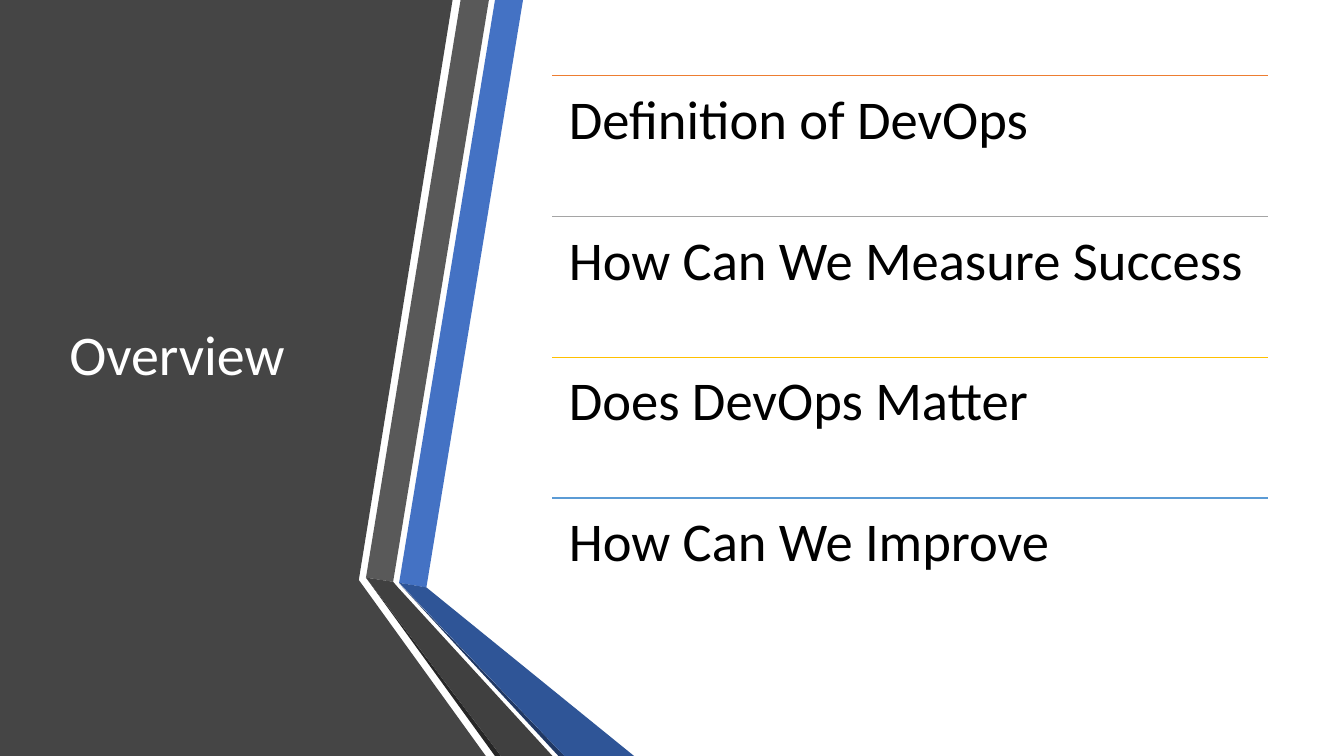
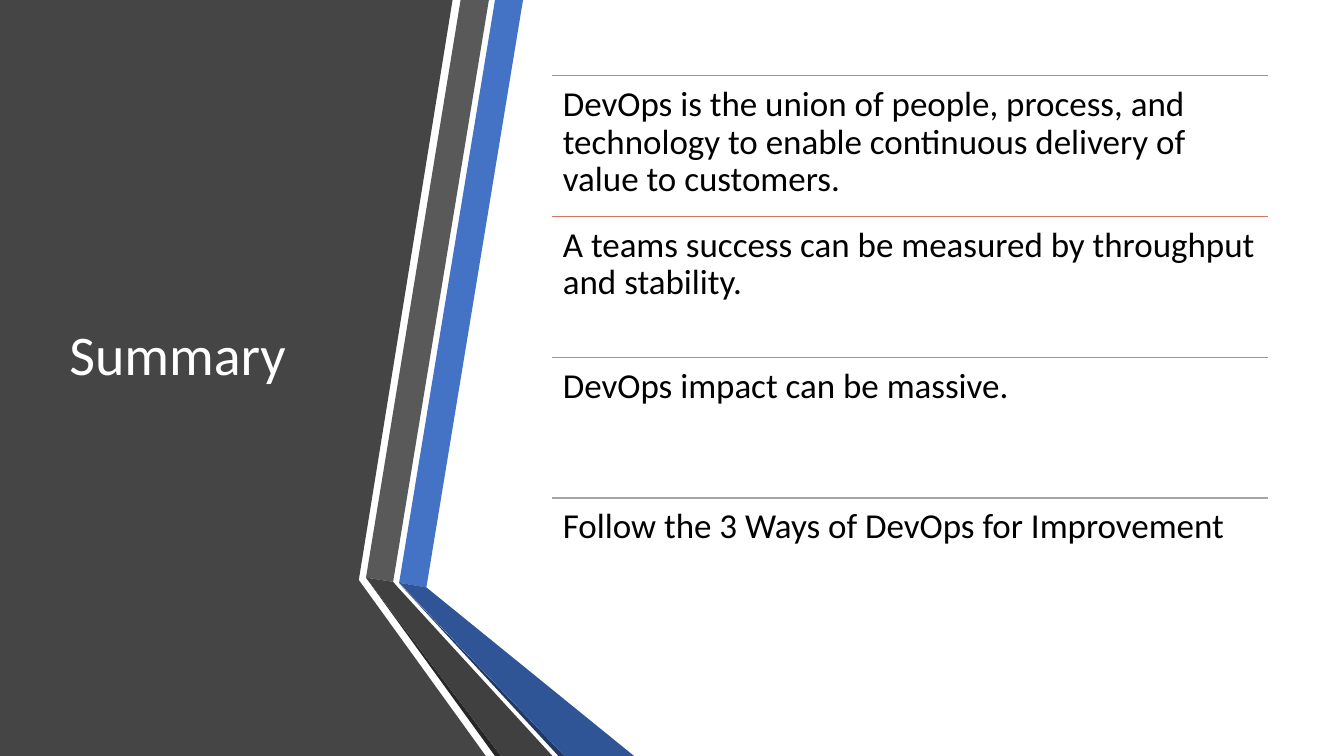
from lxml.etree import SubElement
from pptx import Presentation
from pptx.dml.color import RGBColor
from pptx.enum.shapes import MSO_CONNECTOR
from pptx.enum.text import MSO_ANCHOR
from pptx.oxml.ns import qn
from pptx.util import Pt

WIDE, HIGH = 960, 540
BANDS = [
    ("454545", [(0, 0), (323.3, 0), (256.3, 414.3), (347, HIGH), (0, HIGH)]),
    ("4472C4", [(285.1, 416.3), (304.6, 419.6), (373.6, 0), (353.6, 0)]),
    ("595959", [(349.2, 0), (329, 0), (261.4, 412.6), (280.8, 415.6)]),
    ("262626", [(261.4, 412.6), (353.5, HIGH), (357.8, HIGH)]),
    ("203864", [(285.1, 416.7), (398.9, HIGH), (403.2, HIGH)]),
    ("2F5597", [(285.1, 416.3), (403.2, HIGH), (452.9, HIGH), (304.6, 419.6)]),
    ("404040", [(394.6, HIGH), (284.4, 419.8), (280.8, 415.6),
                (261.4, 412.6), (357.8, HIGH)]),
]
PAGES = [
    ("Overview", 39, [
        ("ED7D31", "Definition of DevOps"),
        ("A5A5A5", "How Can We Measure Success"),
        ("FFC000", "Does DevOps Matter"),
        ("5B9BD5", "How Can We Improve"),
    ]),
    ("Summary", 25, [
        ("ED7D31", "DevOps is the union of people, process, and technology "
                   "to enable continuous delivery of value to customers."),
        ("D17B5C", "A teams success can be measured by throughput and stability."),
        ("B98A82", "DevOps impact can be massive."),
        ("A5A5A5", "Follow the 3 Ways of DevOps for Improvement"),
    ]),
]


def tint(code):
    return RGBColor.from_string(code)


class Deck:
    font = "Calibri"
    left, top, width, pitch = 394.6, 54, 511.2, 100.6

    def __init__(self):
        self.show = Presentation()
        self.show.slide_width, self.show.slide_height = Pt(WIDE), Pt(HIGH)
        self.slide = None

    def page(self, title, size, rows):
        self.slide = self.show.slides.add_slide(self.show.slide_layouts[6])
        for color, points in BANDS:
            self.band(color, points)
        self.text(title, box=(42.5, 54, 218.9, 401.8), size=40, color="FFFFFF",
                  inset=(7.2, 3.6), anchor=MSO_ANCHOR.MIDDLE)
        for index, (color, words) in enumerate(rows):
            top = self.top + index * self.pitch
            self.rule(top, color)
            self.text(words, box=(self.left, top, self.width, self.pitch),
                      size=size, inset=(size * 0.3, size * 0.3))

    def band(self, color, points):
        first, *rest = [(Pt(x), Pt(y)) for x, y in points]
        pen = self.slide.shapes.build_freeform(*first)
        pen.add_line_segments(rest, close=True)
        shape = pen.convert_to_shape()
        shape.shadow.inherit = False
        shape.fill.solid()
        shape.fill.fore_color.rgb = tint(color)
        shape.line.fill.background()

    def rule(self, top, color):
        line = self.slide.shapes.add_connector(
            MSO_CONNECTOR.STRAIGHT, Pt(self.left), Pt(top),
            Pt(self.left + self.width), Pt(top))
        line.line.color.rgb = tint(color)
        line.line.width = Pt(1)
        SubElement(line._element.spPr, qn("a:effectLst"))

    def text(self, words, *, box, size, inset, color="000000",
             anchor=MSO_ANCHOR.TOP):
        frame = self.slide.shapes.add_textbox(*map(Pt, box)).text_frame
        frame.word_wrap = True
        frame.vertical_anchor = anchor
        frame.margin_left = frame.margin_right = Pt(inset[0])
        frame.margin_top = frame.margin_bottom = Pt(inset[1])
        para = frame.paragraphs[0]
        para.line_spacing = 0.9
        run = para.add_run()
        run.text = words
        run.font.name = self.font
        run.font.size = Pt(size)
        run.font.color.rgb = tint(color)


def main():
    deck = Deck()
    for page in PAGES:
        deck.page(*page)
    deck.show.save("out.pptx")


if __name__ == "__main__":
    main()
